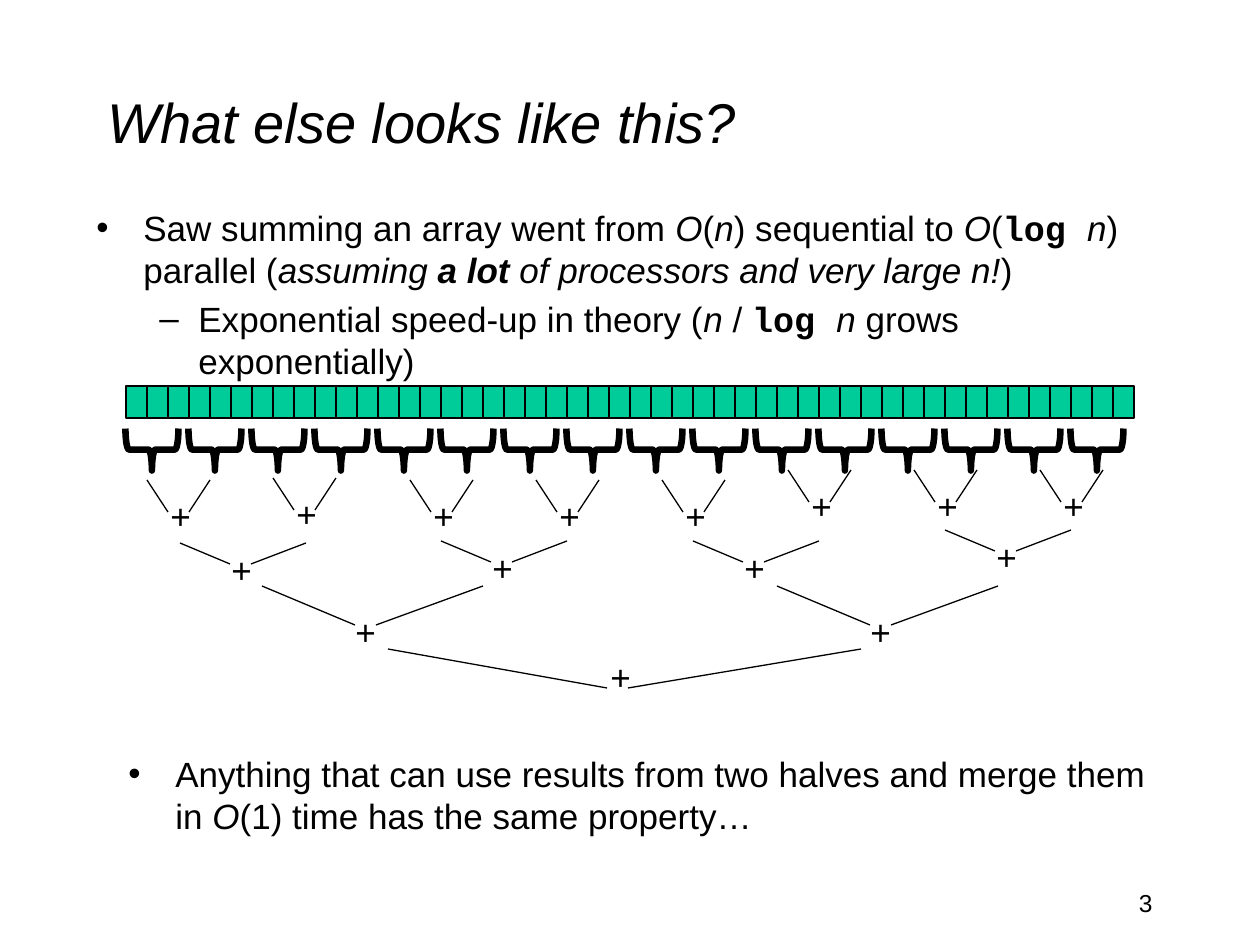
from pptx import Presentation
from pptx.dml.color import RGBColor
from pptx.enum.shapes import MSO_CONNECTOR, MSO_SHAPE
from pptx.enum.text import MSO_ANCHOR, PP_ALIGN
from pptx.oxml.ns import qn
from pptx.util import Pt
from lxml.etree import SubElement

SCALE = 914400 / 126
INK = {"text": "000000", "cell": "00CC99"}


def px(num):
    return round(num * SCALE)


def tint(name):
    return RGBColor.from_string(INK[name])


def fill_para(para, runs, size):
    for text, style in runs:
        run = para.add_run()
        run.text = text
        font = run.font
        font.name = "Courier New" if "m" in style else "Arial"
        font.size = Pt(size)
        font.bold = "b" in style
        font.italic = "i" in style
        font.color.rgb = tint("text")


def add_text(slide, box, runs, size, align=PP_ALIGN.LEFT, wrap=True):
    shape = slide.shapes.add_textbox(*map(px, box))
    frame = shape.text_frame
    frame.word_wrap = wrap
    para = frame.paragraphs[0]
    para.alignment = align
    fill_para(para, runs, size)
    return frame


def add_list(slide, box, items):
    frame = slide.shapes.add_textbox(*map(px, box)).text_frame
    frame.word_wrap = True
    for pos, (level, runs) in enumerate(items):
        para = frame.add_paragraph() if pos else frame.paragraphs[0]
        para.level = level
        para.space_before = Pt(4)
        mark, left, hang = (("•", 47, 47), ("–", 102, 39))[level]
        props = para._p.get_or_add_pPr()
        props.set("marL", str(px(left)))
        props.set("indent", str(-px(hang)))
        SubElement(props, qn("a:buFont")).set("typeface", "Arial")
        SubElement(props, qn("a:buChar")).set("char", mark)
        fill_para(para, runs, 20)


def add_form(slide, kind, box, weight):
    shape = slide.shapes.add_shape(kind, *map(px, box))
    shape.shadow.inherit = False
    shape.fill.background()
    shape.line.color.rgb = tint("text")
    shape.line.width = Pt(weight)
    return shape


def add_array(slide, box, count):
    left, top, width, height = box
    step = width / count
    for pos in range(count):
        cell = add_form(slide, MSO_SHAPE.RECTANGLE,
                        (left + pos * step, top, step, height), 0.75)
        cell.fill.solid()
        cell.fill.fore_color.rgb = tint("cell")


def add_braces(slide, box, count):
    left, top, width, height = box
    for pos in range(count):
        brace = add_form(slide, MSO_SHAPE.LEFT_BRACE,
                         (left + pos * 63, top, width, height), 3.75)
        brace.rotation = 270


def add_line(slide, start, end):
    line = slide.shapes.add_connector(
        MSO_CONNECTOR.STRAIGHT, *map(px, start + end))
    line.line.color.rgb = tint("text")
    line.line.width = Pt(0.75)
    SubElement(line._element.spPr, qn("a:effectLst"))


def add_merge(slide, box, neck, sign):
    left, top, width, height = box
    foot = top + height
    add_line(slide, (left, top), (left + neck, foot))
    add_line(slide, (left + width, top), (left + neck + 21, foot))
    add_text(slide, (left + sign[0], top + sign[1], 45, 55),
             [("+", "")], 20, wrap=False)


def add_tree(slide, left, top):
    levels = [
        (63, 32, 21, (11, 8),
         [(0, 10), (126, 8), (263, 10), (389, 10), (515, 10),
          (641, 0), (767, 0), (893, 0)]),
        (126, 21, 50, (39, -1),
         [(33, 73), (294, 71), (546, 71), (798, 60)]),
        (221, 39, 93, (81, 18), [(115, 116), (630, 116)]),
        (473, 39, 219, (210, 0), [(241, 179)]),
    ]
    for width, height, neck, sign, spots in levels:
        for across, down in spots:
            add_merge(slide, (left + across, top + down, width, height),
                      neck, sign)


def build():
    deck = Presentation()
    deck.slide_width, deck.slide_height = px(1260), px(945)
    slide = deck.slides.add_slide(deck.slide_layouts[6])
    title = add_text(slide, (95, 42, 1071, 158),
                     [("What else looks like this?", "i")], 32)
    title.vertical_anchor = MSO_ANCHOR.MIDDLE
    add_list(slide, (84, 200, 1113, 158), [
        (0, [("Saw summing an array went from ", ""), ("O", "i"), ("(", ""),
             ("n", "i"), (") sequential to ", ""), ("O", "i"), ("(", ""),
             ("log ", "mb"), ("n", "i"), (") parallel (", ""),
             ("assuming ", "i"), ("a lot", "bi"),
             (" of processors and very large n!", "i"), (")", "")]),
        (1, [("Exponential speed-up in theory (", ""), ("n ", "i"),
             ("/ ", ""), ("log ", "mb"), ("n ", "i"),
             ("grows exponentially)", "")]),
    ])
    add_array(slide, (126, 386, 1008, 32), 48)
    add_braces(slide, (131, 423, 42, 53), 16)
    add_tree(slide, 147, 470)
    add_list(slide, (116, 746, 1071, 105), [
        (0, [("Anything that can use results from two halves "
              "and merge them in ", ""), ("O", "i"),
             ("(1) time has the same property…", "")]),
    ])
    add_text(slide, (903, 882, 262, 63), [("3", "")], 14, PP_ALIGN.RIGHT)
    deck.save("out.pptx")


build()
